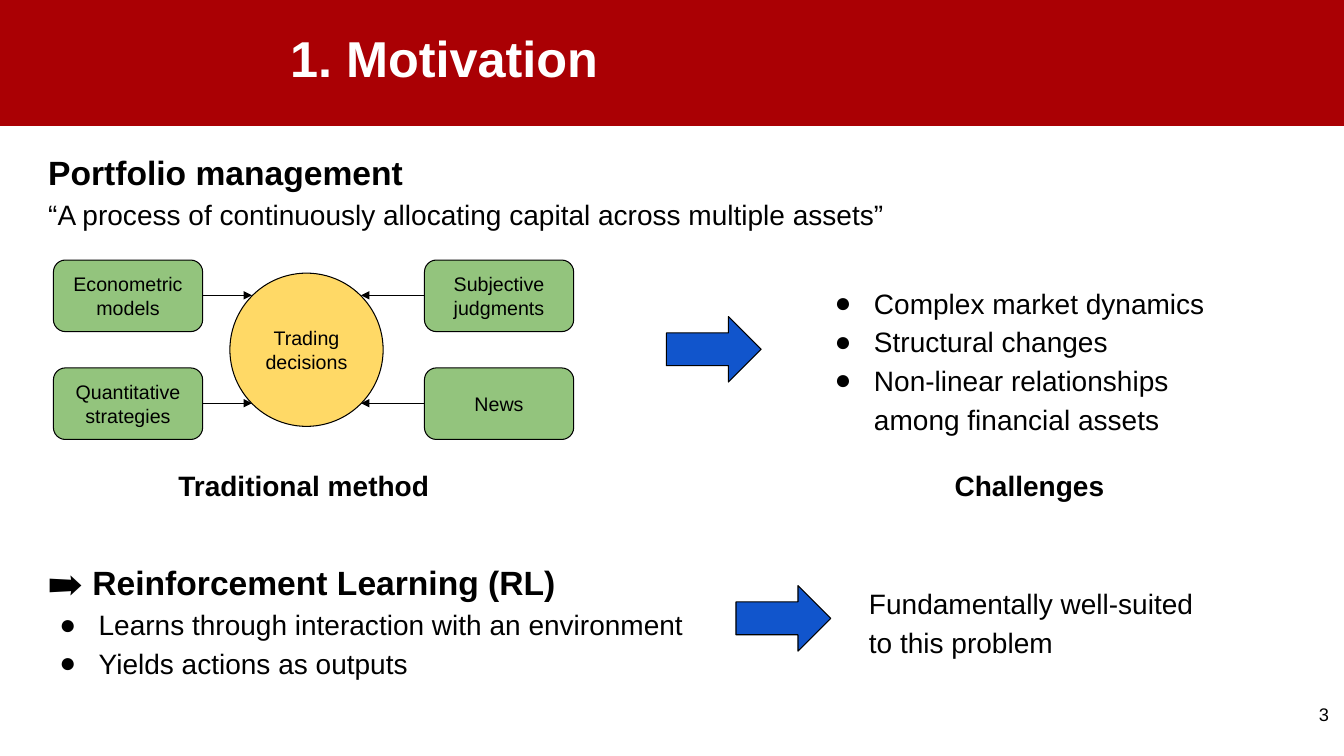
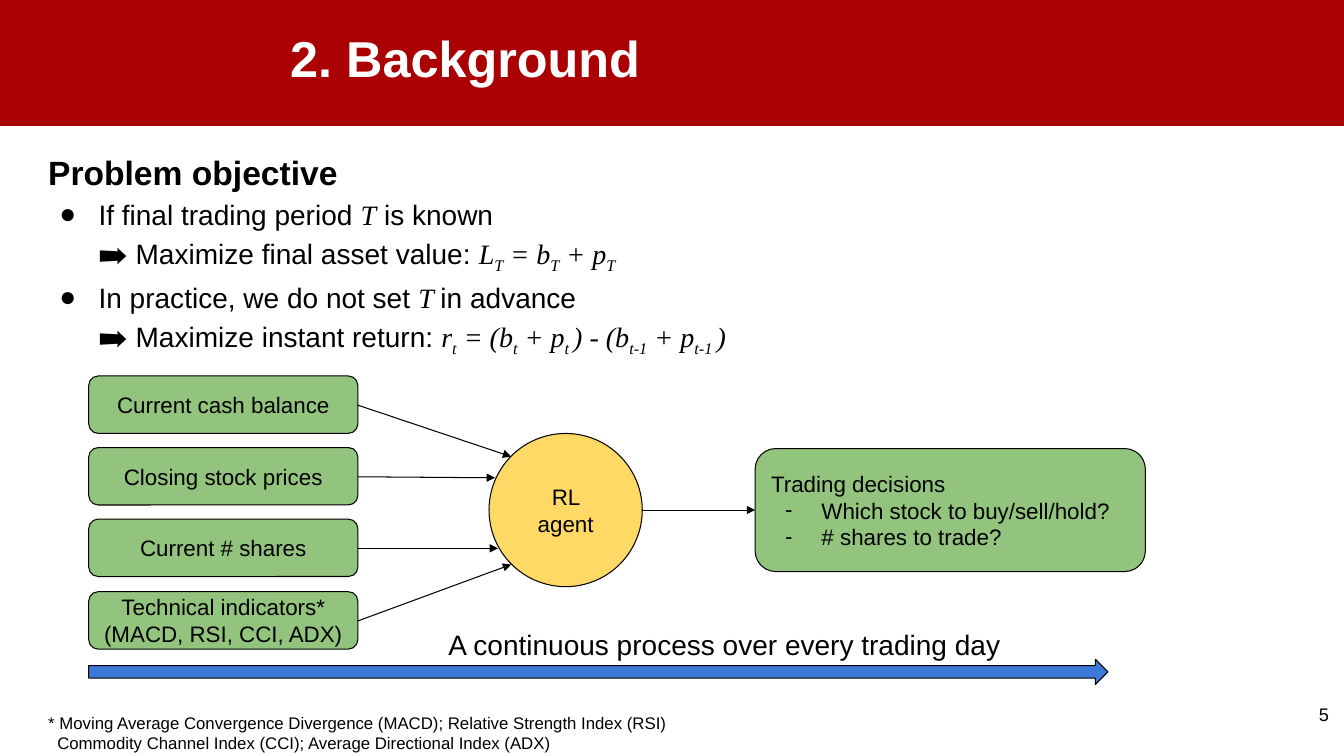
"""Build two slides on reinforcement learning for portfolio management."""
from dataclasses import dataclass
from typing import NamedTuple

from lxml.etree import SubElement as Sub
from pptx import Presentation
from pptx.dml.color import RGBColor as Rgb
from pptx.enum.shapes import MSO_CONNECTOR as Conn, MSO_SHAPE as Kind
from pptx.enum.text import MSO_ANCHOR as Anchor, PP_ALIGN as Align
from pptx.oxml.ns import qn
from pptx.util import Pt

PX = 9144
RED, GREEN, GOLD = "AA0004", "93C47D", "FFD966"
BLUE, SKY, BLACK, WHITE = "1155CC", "3C78D8", "000000", "FFFFFF"
SANS, SERIF = "Arial", "Times New Roman"


class Box(NamedTuple):
    x: int
    y: int
    w: int
    h: int

    def emu(self) -> list[int]:
        return [v * PX for v in self]


class Run(NamedTuple):
    text: str
    bold: bool = False
    math: bool = False
    sub: bool = False


@dataclass
class Para:
    runs: str | list[Run]
    size: int = 20
    bold: bool = False
    mark: str = ""
    left: int = 0
    hang: int = 0


@dataclass
class Node:
    box: Box
    label: str
    kind: Kind = Kind.ROUNDED_RECTANGLE
    fill: str = GREEN


@dataclass
class Link:
    x1: int
    y1: int
    x2: int
    y2: int


def rgb(code: str) -> Rgb:
    return Rgb.from_string(code)


def dot(words: str | list[Run]) -> Para:
    return Para(words, mark="●", left=50, hang=39)


def dash(words: str) -> Para:
    return Para(words, 16, mark="-", left=50, hang=36)


def math(code: str) -> list[Run]:
    """Turn a formula with subscripts in braces into runs."""
    runs = []
    for part in code.split("{"):
        low, end, rest = part.rpartition("}")
        if end:
            runs.append(Run(low, math=True, sub=True))
        runs.append(Run(rest, math=True))
    return [run for run in runs if run.text]


def indent(item, para: Para) -> None:
    props = item._p.get_or_add_pPr()
    props.set("marL", str(para.left * PX))
    props.set("indent", str(-para.hang * PX))
    if para.mark:
        Sub(Sub(props, qn("a:buClr")), qn("a:srgbClr"), val=BLACK)
        Sub(props, qn("a:buFont"), typeface=SANS)
        Sub(props, qn("a:buChar"), char=para.mark)


def write(shape, paras: list[Para], *, color: str = BLACK, align=Align.LEFT,
          anchor=Anchor.TOP, space: float = 1.0, pad: int = 10) -> None:
    """Fill a shape with formatted paragraphs."""
    frame = shape.text_frame
    frame.word_wrap = True
    frame.vertical_anchor = anchor
    frame.margin_left = frame.margin_right = 10 * PX
    frame.margin_top = frame.margin_bottom = pad * PX
    for n, para in enumerate(paras):
        item = frame.add_paragraph() if n else frame.paragraphs[0]
        item.alignment, item.line_spacing = align, space
        if para.left:
            indent(item, para)
        runs = [Run(para.runs)] if isinstance(para.runs, str) else para.runs
        for run in runs:
            for k, line in enumerate(run.text.split("\n")):
                if k:
                    item.add_line_break()
                if not line:
                    continue
                piece = item.add_run()
                piece.text = line
                font = piece.font
                font.name = SERIF if run.math else SANS
                font.size = Pt(para.size)
                font.bold = para.bold or run.bold
                font.italic = run.math
                font.color.rgb = rgb(color)
                if run.sub:
                    piece._r.get_or_add_rPr().set("baseline", "-25000")


def label(slide, box: Box, paras: list[Para], **fmt) -> None:
    write(slide.shapes.add_textbox(*box.emu()), paras, **fmt)


def draw(slide, kind: Kind, box: Box, fill: str, edge: bool = True):
    shape = slide.shapes.add_shape(kind, *box.emu())
    shape.shadow.inherit = False
    shape.fill.solid()
    shape.fill.fore_color.rgb = rgb(fill)
    if edge:
        shape.line.color.rgb = rgb(BLACK)
        shape.line.width = Pt(0.75)
    else:
        shape.line.fill.background()
    return shape


def node(slide, item: Node, size: int) -> None:
    shape = draw(slide, item.kind, item.box, item.fill)
    write(shape, [Para(item.label, size)],
          align=Align.CENTER, anchor=Anchor.MIDDLE)


def link(slide, item: Link) -> None:
    ends = [v * PX for v in (item.x1, item.y1, item.x2, item.y2)]
    line = slide.shapes.add_connector(Conn.STRAIGHT, *ends)
    line.line.color.rgb = rgb(BLACK)
    line.line.width = Pt(0.75)
    Sub(line.line._get_or_add_ln(), qn("a:tailEnd"), type="triangle")
    Sub(line._element.spPr, qn("a:effectLst"))


def graph(slide, nodes: list[Node], links: list[Link], size: int) -> None:
    for item in nodes:
        node(slide, item, size)
    for item in links:
        link(slide, item)


def start(deck, title: str, page: int):
    """Add a slide with its band, title and page number."""
    slide = deck.slides.add_slide(deck.slide_layouts[6])
    draw(slide, Kind.RECTANGLE, Box(0, 0, 1333, 125), RED, edge=False)
    label(slide, Box(278, -4, 514, 130), [Para(title, 36, True)],
          color=WHITE, anchor=Anchor.MIDDLE, space=0.9, pad=5)
    label(slide, Box(1248, 693, 80, 57), [Para(str(page), 13)],
          align=Align.RIGHT, pad=5)
    return slide


def motive(deck) -> None:
    slide = start(deck, "1. Motivation", 3)
    label(slide, Box(38, 140, 1044, 102), [
        Para("Portfolio management", 24, True),
        Para("“A process of continuously allocating capital "
             "across multiple assets”"),
    ], space=1.15, pad=5)

    rows = [(258, "Econometric models", "Subjective judgments"),
            (365, "Quantitative strategies", "News")]
    nodes = [Node(Box(228, 271, 152, 152), "Trading decisions",
                  Kind.OVAL, GOLD)]
    links = []
    for top, west, east in rows:
        nodes += [Node(Box(53, top, 148, 71), west),
                  Node(Box(421, top, 148, 71), east)]
        mid = top + 35
        links += [Link(201, mid, 250, mid), Link(421, mid, 358, mid)]
    graph(slide, nodes, links, 14)

    for x, w, name in [(167, 274, "Traditional method"),
                       (937, 176, "Challenges")]:
        label(slide, Box(x, 455, w, 45), [Para(name, bold=True)])
    label(slide, Box(807, 269, 436, 170), [
        dot("Complex market dynamics"),
        dot("Structural changes"),
        dot("Non-linear relationships among financial assets"),
    ], space=1.15)
    label(slide, Box(38, 547, 670, 161), [
        Para("➡ Reinforcement Learning (RL)", 24, True),
        dot("Learns through interaction with an environment"),
        dot("Yields actions as outputs"),
    ], space=1.15, pad=5)
    label(slide, Box(852, 567, 345, 93),
          [Para("Fundamentally well-suited to this problem")], space=1.15)
    for x, y in [(661, 314), (730, 581)]:
        draw(slide, Kind.RIGHT_ARROW, Box(x, y, 94, 65), BLUE)


def basis(deck) -> None:
    slide = start(deck, "2. Background", 5)
    label(slide, Box(38, 140, 1023, 216), [
        Para("Problem objective", 24, True),
        dot([Run("If final trading period "), Run("T", math=True),
             Run(" is known\n"), Run("➡ ", bold=True),
             Run("Maximize final asset value: "),
             *math("L{T} = b{T} + p{T}")]),
        dot([Run("In practice, we do not set "), Run("T ", math=True),
             Run("in advance\n"), Run("➡ ", bold=True),
             Run("Maximize instant return: "),
             *math("r{t} = (b{t} + p{t }) - (b{t-1} + p{t-1 })")]),
    ], space=1.15, pad=5)

    feeds = [("Current cash balance", 507, 453),
             ("Closing stock prices", 491, 474),
             ("Current # shares", 494, 544),
             ("Technical indicators*\n(MACD, RSI, CCI, ADX)", 507, 560)]
    nodes = [Node(Box(485, 430, 152, 152), "RL agent", Kind.OVAL, GOLD)]
    links = [Link(637, 506, 749, 506)]
    for n, (name, x, y) in enumerate(feeds):
        top = 373 + n * 214 // 3
        nodes.append(Node(Box(88, top, 267, 57), name))
        links.append(Link(355, top + 29, x, y))
    graph(slide, nodes, links, 16)

    goal = draw(slide, Kind.ROUNDED_RECTANGLE, Box(749, 445, 387, 122), GREEN)
    write(goal, [
        Para("Trading decisions", 16),
        dash("Which stock to buy/sell/hold?"),
        dash("# shares to trade?"),
    ], anchor=Anchor.MIDDLE)
    draw(slide, Kind.RIGHT_ARROW, Box(88, 654, 1011, 25), SKY)
    label(slide, Box(435, 613, 570, 54),
          [Para("A continuous process over every trading day")])
    label(slide, Box(38, 697, 641, 50), [Para(
        "* Moving Average Convergence Divergence (MACD); "
        "Relative Strength Index (RSI)\n"
        "Commodity Channel Index (CCI); Average Directional Index (ADX)",
        12, left=9, hang=9)])


def main() -> None:
    deck = Presentation()
    deck.slide_width, deck.slide_height = 1333 * PX, 750 * PX
    motive(deck)
    basis(deck)
    deck.save("out.pptx")


if __name__ == "__main__":
    main()
